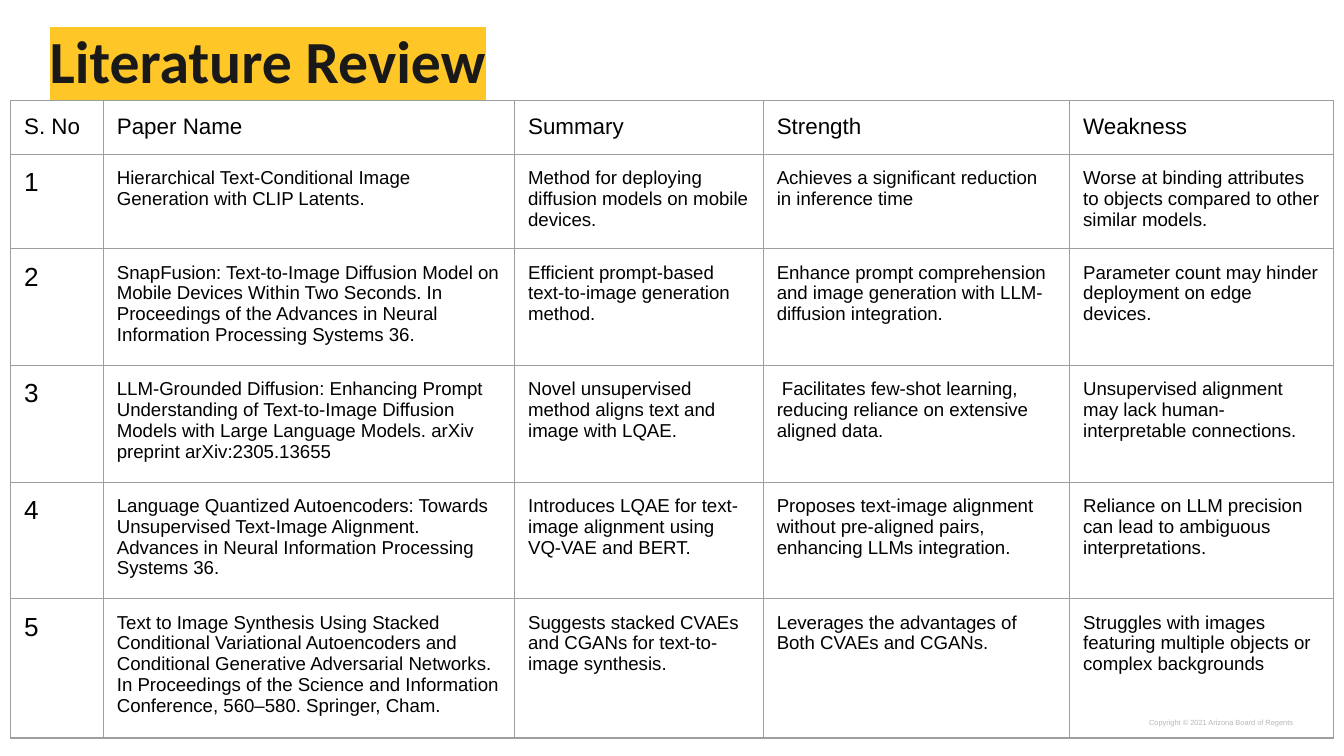
from dataclasses import dataclass

from lxml.etree import SubElement
from pptx import Presentation
from pptx.dml.color import RGBColor as RGB
from pptx.enum.text import MSO_ANCHOR, MSO_AUTO_SIZE, PP_ALIGN
from pptx.oxml.ns import qn
from pptx.util import Inches, Pt

# Content
TITLE = "Literature Review"
COPYRIGHT = "Copyright © 2021 Arizona Board of Regents"
HEADINGS = ("S. No", "Paper Name", "Summary", "Strength", "Weakness")
PAPERS = [
    ("Hierarchical Text-Conditional Image Generation with CLIP Latents.",
     "Method for deploying diffusion models on mobile devices.",
     "Achieves a significant reduction in inference time",
     "Worse at binding attributes to objects compared to other similar models."),
    ("SnapFusion: Text-to-Image Diffusion Model on Mobile Devices Within Two Seconds. "
     "In Proceedings of the Advances in Neural Information Processing Systems 36.",
     "Efficient prompt-based text-to-image generation method.",
     "Enhance prompt comprehension and image generation with LLM-diffusion integration.",
     "Parameter count may hinder deployment on edge devices."),
    ("LLM-Grounded Diffusion: Enhancing Prompt Understanding of Text-to-Image Diffusion "
     "Models with Large Language Models. arXiv preprint arXiv:2305.13655",
     "Novel unsupervised method aligns text and image with LQAE.",
     " Facilitates few-shot learning, reducing reliance on extensive aligned data.",
     "Unsupervised alignment may lack human-interpretable connections."),
    ("Language Quantized Autoencoders: Towards Unsupervised Text-Image Alignment. "
     "Advances in Neural Information Processing Systems 36.",
     "Introduces LQAE for text-image alignment using VQ-VAE and BERT.",
     "Proposes text-image alignment without pre-aligned pairs, enhancing LLMs integration.",
     "Reliance on LLM precision can lead to ambiguous interpretations."),
    ("Text to Image Synthesis Using Stacked Conditional Variational Autoencoders and "
     "Conditional Generative Adversarial Networks. In Proceedings of the Science and "
     "Information Conference, 560–580. Springer, Cham.",
     "Suggests stacked CVAEs and CGANs for text-to-image synthesis.",
     "Leverages the advantages of Both CVAEs and CGANs.",
     "Struggles with images featuring multiple objects or complex backgrounds"),
]


@dataclass(frozen=True)
class Theme:
    title_font: str = "Calibri"
    body_font: str = "Arial"
    title_ink: str = "191919"
    highlight: str = "FFC627"
    ink: str = "000000"
    muted: str = "B7B7B7"
    rule: str = "9E9E9E"
    title_size: int = 32
    number_size: int = 14
    heading_size: int = 12
    body_size: int = 10
    copyright_size: int = 4


THEME = Theme()

# Layout, in inches
SLIDE_W = 10
SLIDE_H = SLIDE_W * 9 / 16
INSET = Inches(0.1)
TITLE_BOX = (0.27, 0.08, 9.57, 0.77)
COPYRIGHT_BOX = (8.16, 5.31, 1.56, 0.25)
TABLE_LEFT, TABLE_TOP = 0.08, 0.75
COLUMNS = (0.69, 3.06, 1.85, 2.28, 1.96)
ROWS = (0.4, 0.69, 0.86, 0.86, 0.86, 1.02)


def write(frame, text, size, color=THEME.ink, font=THEME.body_font, bold=False):
    frame.text = text
    paragraph = frame.paragraphs[0]
    paragraph.line_spacing = 1.0
    paragraph.space_before = paragraph.space_after = Pt(0)
    run = paragraph.runs[0]
    run.font.size, run.font.name, run.font.bold = Pt(size), font, bold
    run.font.color.rgb = RGB.from_string(color)
    return run


def set_insets(holder):
    holder.margin_left = holder.margin_right = INSET
    holder.margin_top = holder.margin_bottom = INSET
    holder.vertical_anchor = MSO_ANCHOR.TOP


def solid(parent, color):
    SubElement(SubElement(parent, qn("a:solidFill")), qn("a:srgbClr"), val=color)


def rule_cell(cell):
    properties = cell._tc.get_or_add_tcPr()
    for side in ("lnL", "lnR", "lnT", "lnB"):
        solid(SubElement(properties, qn(f"a:{side}"), w=str(Pt(0.75))), THEME.rule)
    cell.fill.background()


def add_title(slide):
    title = slide.shapes.title
    title.left, title.top, title.width, title.height = map(Inches, TITLE_BOX)
    frame = title.text_frame
    run = write(frame, TITLE, THEME.title_size, THEME.title_ink, THEME.title_font, True)
    set_insets(frame)
    frame.word_wrap = True
    frame.auto_size = MSO_AUTO_SIZE.NONE
    frame.paragraphs[0].alignment = PP_ALIGN.LEFT
    # Highlight belongs between the fill and the font name
    properties = run._r.get_or_add_rPr()
    highlight = SubElement(properties, qn("a:highlight"))
    SubElement(highlight, qn("a:srgbClr"), val=THEME.highlight)
    properties.find(qn("a:latin")).addprevious(highlight)


def add_copyright(slide):
    frame = slide.shapes.add_textbox(*map(Inches, COPYRIGHT_BOX)).text_frame
    write(frame, COPYRIGHT, THEME.copyright_size, THEME.muted)
    set_insets(frame)
    frame.word_wrap = True
    frame.auto_size = MSO_AUTO_SIZE.SHAPE_TO_FIT_TEXT
    frame.paragraphs[0].alignment = PP_ALIGN.RIGHT


def add_review_table(slide):
    entries = [HEADINGS] + [(str(n), *paper) for n, paper in enumerate(PAPERS, 1)]
    box = (TABLE_LEFT, TABLE_TOP, sum(COLUMNS), sum(ROWS))
    table = slide.shapes.add_table(len(ROWS), len(COLUMNS), *map(Inches, box)).table
    table.first_row = table.horz_banding = False
    for column, width in zip(table.columns, COLUMNS):
        column.width = Inches(width)
    for r, (row, height, entry) in enumerate(zip(table.rows, ROWS, entries)):
        row.height = Inches(height)
        for c, (cell, text) in enumerate(zip(row.cells, entry)):
            size = (THEME.heading_size if r == 0
                    else THEME.number_size if c == 0 else THEME.body_size)
            write(cell.text_frame, text, size)
            set_insets(cell)
            rule_cell(cell)


def main():
    deck = Presentation()
    deck.slide_width, deck.slide_height = Inches(SLIDE_W), Inches(SLIDE_H)
    slide = deck.slides.add_slide(deck.slide_layouts.get_by_name("Title Only"))
    add_copyright(slide)
    add_title(slide)
    add_review_table(slide)
    deck.save("out.pptx")


if __name__ == "__main__":
    main()
